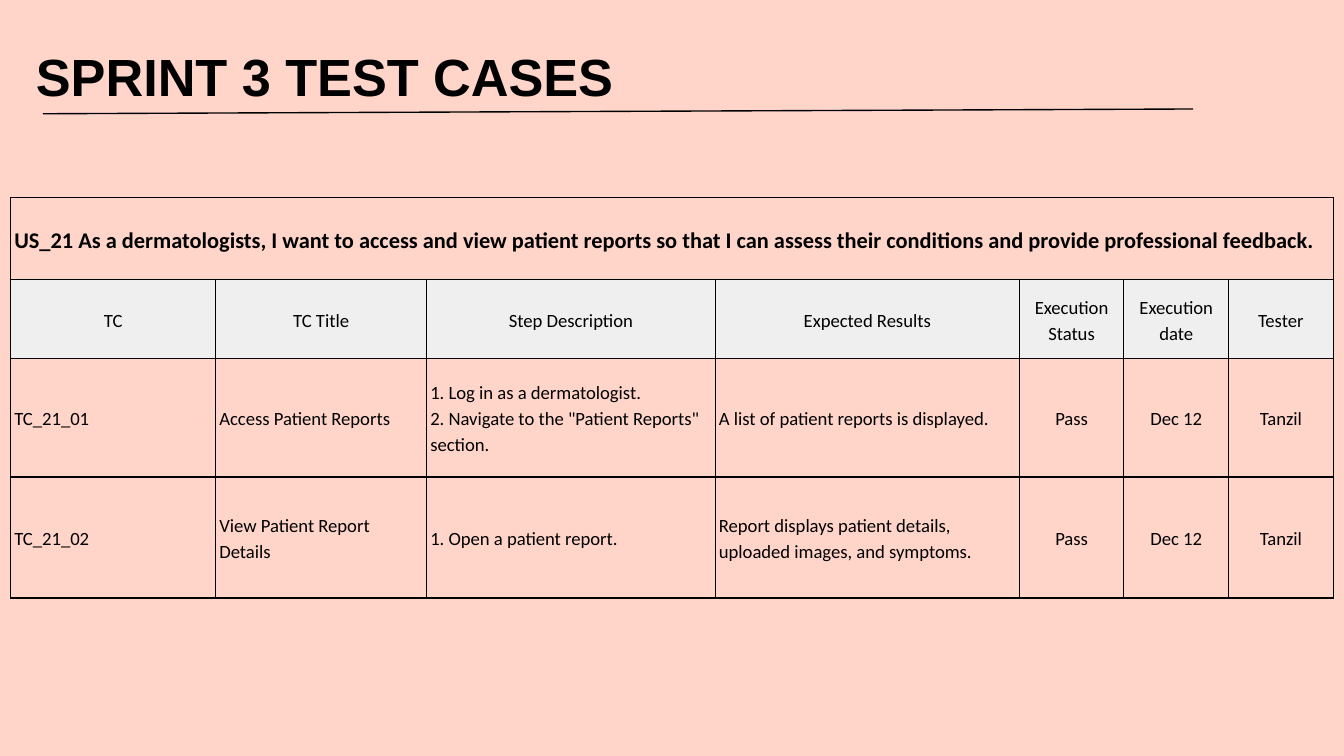
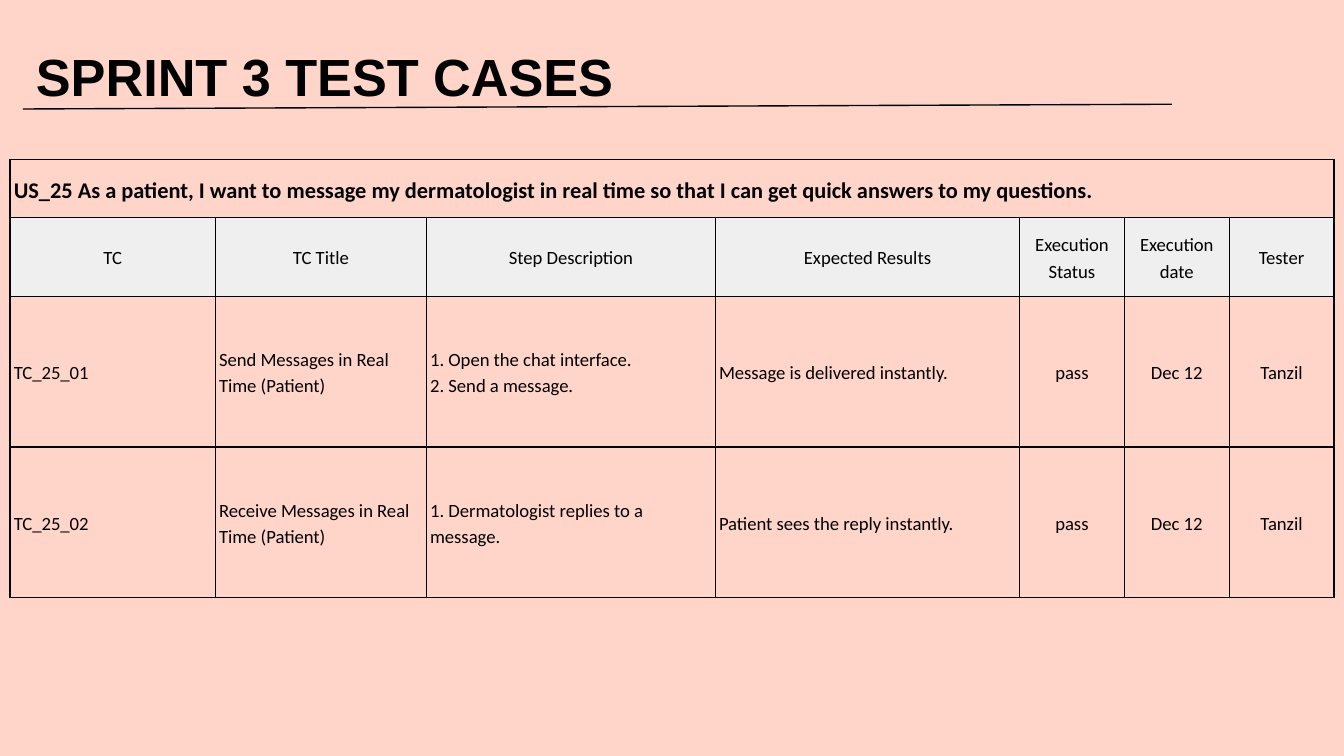
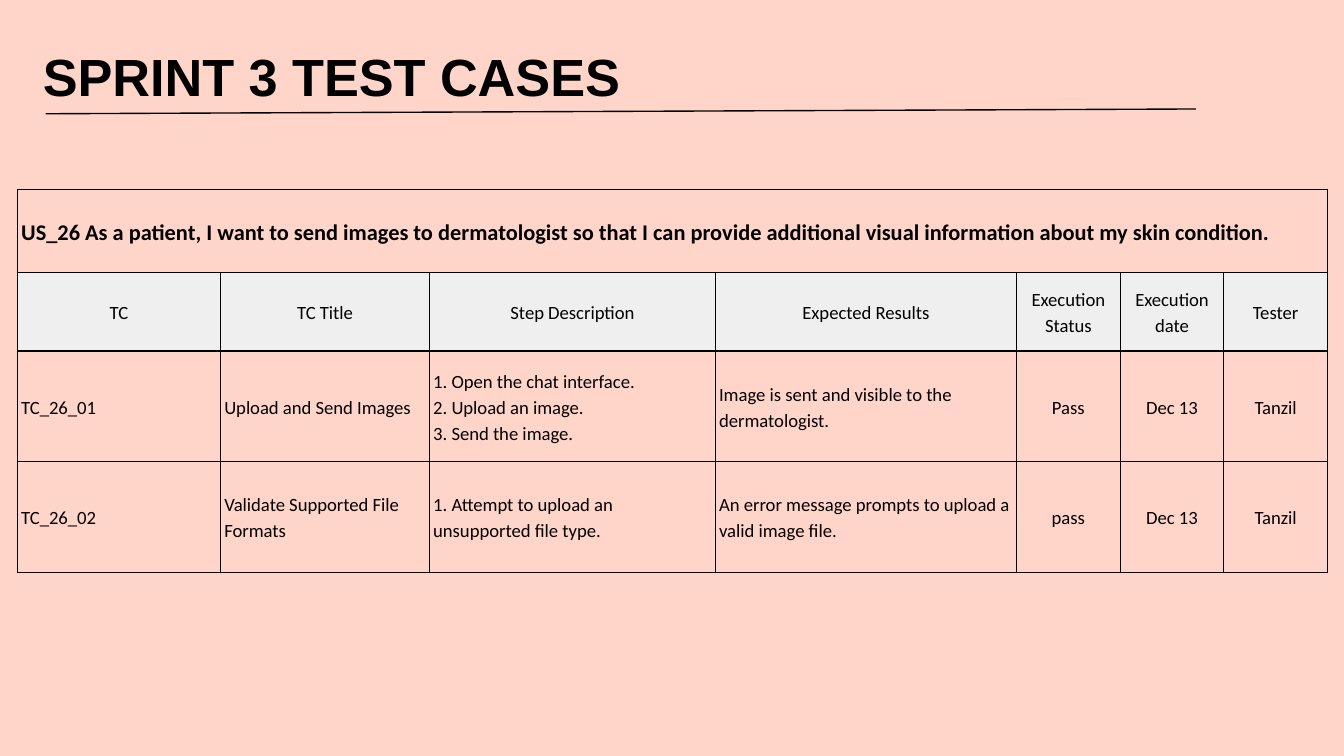
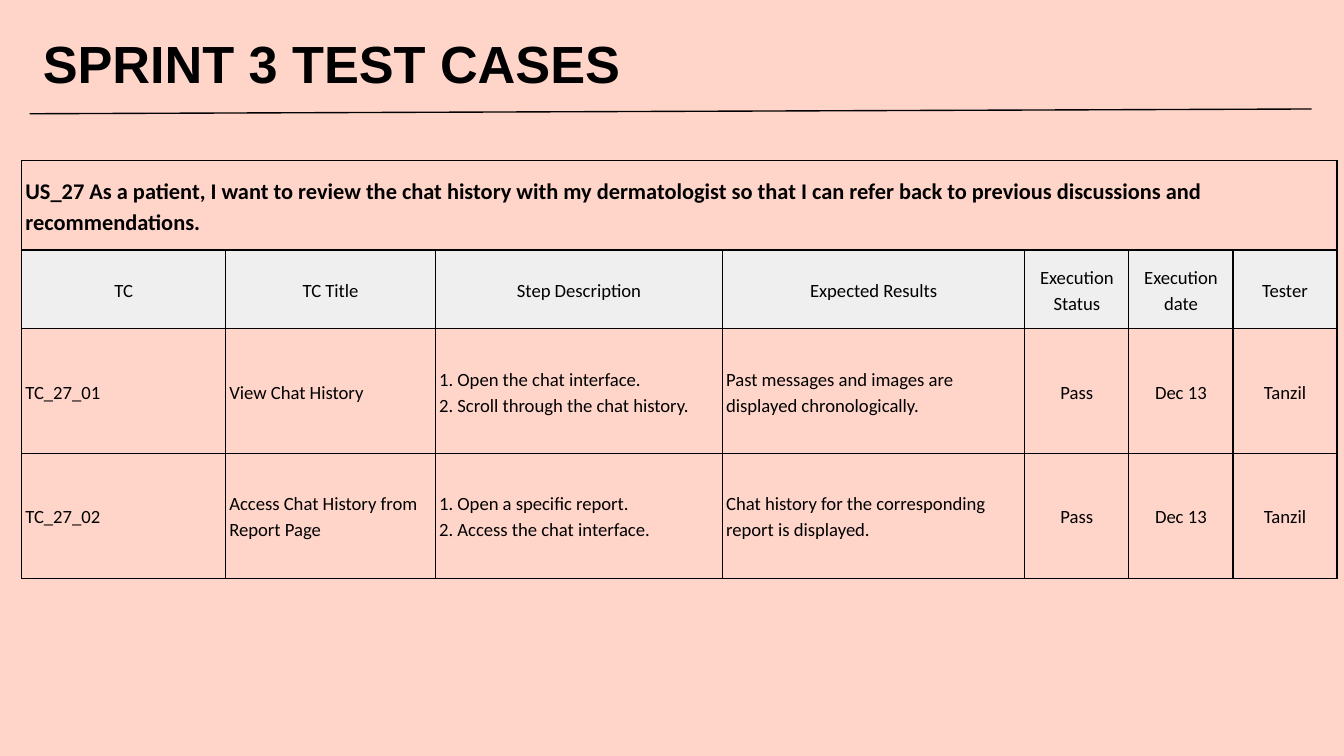
from dataclasses import dataclass

from lxml import etree
from pptx import Presentation
from pptx import util as u
from pptx.dml.color import RGBColor
from pptx.enum import shapes, text
from pptx.oxml import ns

# Shared look; lengths are in centimetres
PEACH, GREY, BLACK = "FFD5CA", "EFEFEF", "000000"
HEAD, BODY = "Arial", "Calibri"
TITLE = "SPRINT 3 TEST CASES"
LABELS = ("TC", "TC Title", "Step Description", "Expected Results",
          "Execution Status", "Execution date", "Tester")
SHARES = (3.88, 3.99, 5.46, 5.75, 1.98, 1.98, 1.98)
LABEL_H = 1.44
RULE_RISE = 0.09
RULE_PT = 0.75
TESTER = "Tanzil"
LEFT, MID = text.PP_ALIGN.LEFT, text.PP_ALIGN.CENTER


@dataclass
class Box:
    left: float
    top: float
    width: float
    height: float = 0


@dataclass
class Case:
    name: str
    title: str
    steps: str
    result: str
    status: str
    date: str

    def row(self) -> tuple:
        return (self.name, self.title, self.steps, self.result,
                self.status, self.date, TESTER)


@dataclass
class Sheet:
    title: Box
    rule: Box
    grid: Box  # height is that of the story row
    rows: tuple
    story: str
    cases: tuple


SHEETS = (
    Sheet(Box(0.43, 0.48, 22.5, 1.6), Box(0.81, 2.15, 21.74),
          Box(0.2, 3.73, 25, 1.56), (2.24, 2.29),
          "US_21 As a dermatologists, I want to access and view patient reports "
          "so that I can assess their conditions and provide professional feedback.",
          (Case("TC_21_01", "Access Patient Reports",
                "1. Log in as a dermatologist.\n"
                "2. Navigate to the \"Patient Reports\" section.",
                "A list of patient reports is displayed.", "Pass", "Dec 12"),
           Case("TC_21_02", "View Patient Report Details",
                "1. Open a patient report.",
                "Report displays patient details, uploaded images, and symptoms.",
                "Pass", "Dec 12"))),
    Sheet(Box(0.43, 0.48, 22.12, 1.6), Box(0.43, 2.06, 21.72),
          Box(0.19, 3.02, 25.02, 1.07), (2.85, 2.85),
          "US_25 As a patient, I want to message my dermatologist in real time "
          "so that I can get quick answers to my questions.",
          (Case("TC_25_01", "Send Messages in Real Time (Patient)",
                "1. Open the chat interface.\n2. Send a message.",
                "Message is delivered instantly.", "pass", "Dec 12"),
           Case("TC_25_02", "Receive Messages in Real Time (Patient)",
                "1. Dermatologist replies to a message.",
                "Patient sees the reply instantly.", "pass", "Dec 12"))),
    Sheet(Box(0.56, 0.48, 22.38, 1.6), Box(0.86, 2.15, 21.74),
          Box(0.33, 3.58, 24.76, 1.57), (2.09, 2.09),
          "US_26 As a patient, I want to send images to dermatologist so that "
          "I can provide additional visual information about my skin condition.",
          (Case("TC_26_01", "Upload and Send Images",
                "1. Open the chat interface.\n2. Upload an image.\n"
                "3. Send the image.",
                "Image is sent and visible to the dermatologist.",
                "Pass", "Dec 13"),
           Case("TC_26_02", "Validate Supported File Formats",
                "1. Attempt to upload an unsupported file type.",
                "An error message prompts to upload a valid image file.",
                "pass", "Dec 13"))),
    Sheet(Box(0.56, 0.23, 22.38, 1.6), Box(0.56, 2.15, 24.23),
          Box(0.41, 3.04, 24.86, 1.65), (2.36, 2.36),
          "US_27 As a patient, I want to review the chat history with my "
          "dermatologist so that I can refer back to previous discussions "
          "and recommendations.",
          (Case("TC_27_01", "View Chat History",
                "1. Open the chat interface.\n2. Scroll through the chat history.",
                "Past messages and images are displayed chronologically.",
                "Pass", "Dec 13"),
           Case("TC_27_02", "Access Chat History from Report Page",
                "1. Open a specific report.\n2. Access the chat interface.",
                "Chat history for the corresponding report is displayed.",
                "Pass", "Dec 13"))),
)


# Formatting
def paint(fill, color: str) -> None:
    fill.solid()
    fill.fore_color.rgb = RGBColor.from_string(color)


def write(frame, words: str, *, size: float, font: str = BODY,
          bold: bool = False, align=LEFT, space: float = 1) -> None:
    frame.word_wrap = True
    frame.text = words
    for para in frame.paragraphs:
        para.alignment = align
        para.line_spacing = space
        para.space_before = u.Pt(0)
        for run in para.runs:
            run.font.name, run.font.size, run.font.bold = font, u.Pt(size), bold
            run.font.color.rgb = RGBColor.from_string(BLACK)


def edge(cell) -> None:
    props = cell._tc.get_or_add_tcPr()
    for side in ("a:lnL", "a:lnR", "a:lnT", "a:lnB"):
        line = etree.SubElement(props, ns.qn(side), w=str(u.Pt(RULE_PT)))
        fill = etree.SubElement(line, ns.qn("a:solidFill"))
        etree.SubElement(fill, ns.qn("a:srgbClr"), val=BLACK)


def fill_cell(cell, words: str, *, color: str = "", **style) -> None:
    cell.vertical_anchor = text.MSO_ANCHOR.MIDDLE
    cell.margin_left = cell.margin_right = u.Cm(0.07)
    cell.margin_top = cell.margin_bottom = u.Cm(0.25)
    if color:
        paint(cell.fill, color)
    else:
        cell.fill.background()
    write(cell.text_frame, words, space=1.15, **style)


# Slide parts
def add_title(slide, box: Box) -> None:
    title = slide.shapes.title
    title.left, title.top = u.Cm(box.left), u.Cm(box.top)
    title.width, title.height = u.Cm(box.width), u.Cm(box.height)
    frame = title.text_frame
    frame.auto_size = text.MSO_AUTO_SIZE.NONE
    frame.vertical_anchor = text.MSO_ANCHOR.TOP
    frame.margin_left = frame.margin_right = frame.margin_bottom = u.Cm(0.25)
    frame.margin_top = u.Cm(0.36)
    write(frame, TITLE, size=28, font=HEAD, bold=True)


def add_rule(slide, box: Box) -> None:
    rule = slide.shapes.add_connector(
        shapes.MSO_CONNECTOR.STRAIGHT, u.Cm(box.left), u.Cm(box.top),
        u.Cm(box.left + box.width), u.Cm(box.top - RULE_RISE))
    paint(rule.line.fill, BLACK)
    rule.line.width = u.Pt(RULE_PT)
    etree.SubElement(rule._element.spPr, ns.qn("a:effectLst"))


def add_grid(slide, sheet: Sheet) -> None:
    box = sheet.grid
    highs = (box.height, LABEL_H, *sheet.rows)
    grid = slide.shapes.add_table(
        len(highs), len(SHARES), u.Cm(box.left), u.Cm(box.top),
        u.Cm(box.width), u.Cm(sum(highs))).table
    grid.first_row = grid.horz_banding = False
    for row, high in zip(grid.rows, highs):
        row.height = u.Cm(high)
    for col, share in zip(grid.columns, SHARES):
        col.width = u.Cm(box.width * share / sum(SHARES))
    for cell in grid.iter_cells():
        edge(cell)

    # Story across the top, then labels and cases
    last = len(SHARES) - 1
    grid.cell(0, 0).merge(grid.cell(0, last))
    fill_cell(grid.cell(0, 0), sheet.story, size=12, bold=True)
    for c, label in enumerate(LABELS):
        fill_cell(grid.cell(1, c), label, color=GREY, size=10, align=MID)
    for r, case in enumerate(sheet.cases, 2):
        for c, words in enumerate(case.row()):
            fill_cell(grid.cell(r, c), words, size=10,
                      align=LEFT if c < 4 else MID)


def main() -> None:
    deck = Presentation()
    deck.slide_width, deck.slide_height = u.Cm(25.4), u.Cm(14.29)
    for sheet in SHEETS:
        slide = deck.slides.add_slide(deck.slide_layouts[5])
        paint(slide.background.fill, PEACH)
        add_title(slide, sheet.title)
        add_rule(slide, sheet.rule)
        add_grid(slide, sheet)
    deck.save("out.pptx")


if __name__ == "__main__":
    main()
